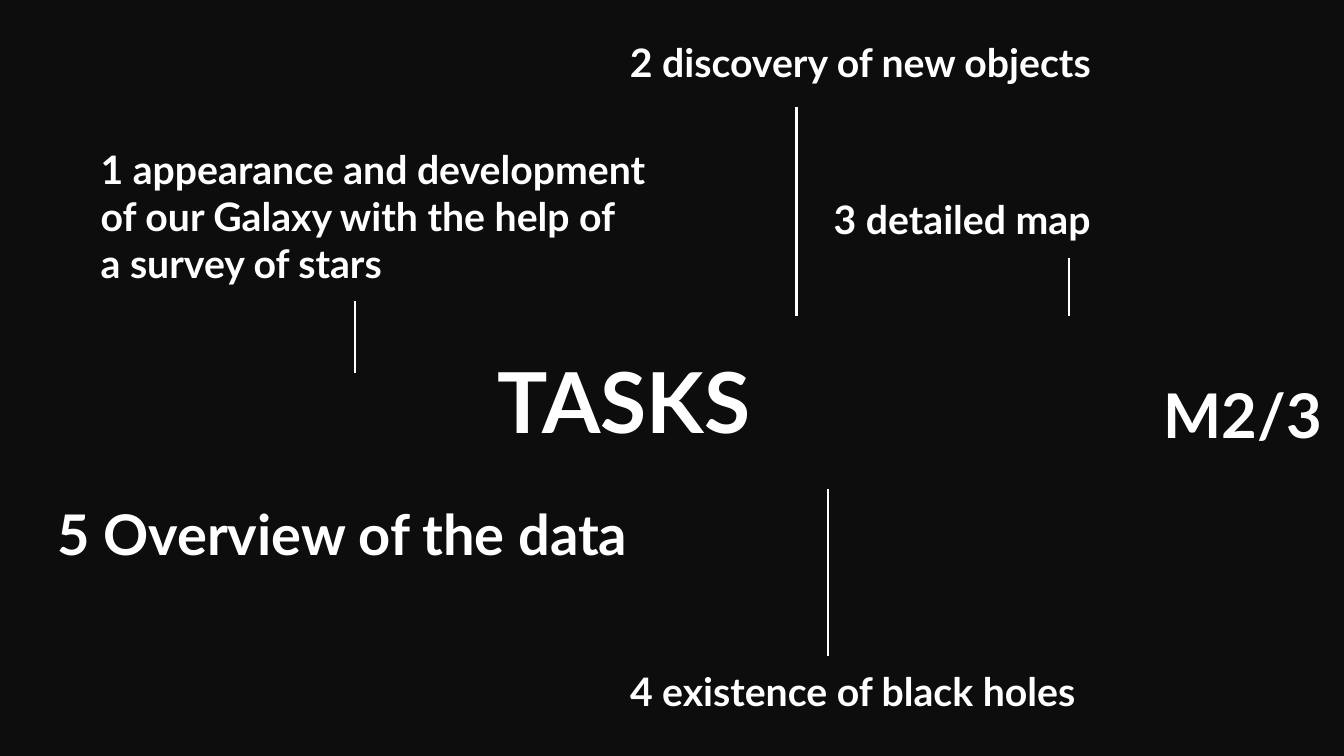
from lxml import etree
from pptx import Presentation
from pptx.dml.color import RGBColor
from pptx.enum.shapes import MSO_CONNECTOR
from pptx.enum.text import MSO_ANCHOR, MSO_AUTO_SIZE, PP_ALIGN
from pptx.oxml.ns import qn
from pptx.util import Inches, Pt

COLORS = {"background": "0D0D0D", "text": "FFFFFF", "line": "FFFFFF"}
FONT = "Lato"
TITLE_ONLY = 5

# lines of text, box (left, top, width, height), size
LABELS = [
    (["1 appearance and development", "of our Galaxy with the help of",
      "a survey of stars"], (0.9, 1.39, 7.01, 1.51), 28),
    (["2 discovery of new objects"], (6.15, 0.33, 6.1, 0.57), 28),
    (["3 detailed map"], (8.17, 1.89, 3.35, 0.57), 28),
    (["4 existence of black holes"], (6.15, 6.57, 6.29, 0.57), 28),
    (["5 Overview of the data"], (0.47, 4.91, 7.22, 0.77), 40),
    (["M2/3"], (11.44, 3.69, 1.9, 0.84), 44),
]

# x, top, bottom
STEMS = [(3.52, 2.99, 3.7), (7.9, 1.06, 3.14), (10.6, 2.56, 3.14), (8.21, 4.85, 6.51)]


def color(name):
    return RGBColor.from_string(COLORS[name])


def write(tf, lines, size, align=PP_ALIGN.LEFT, anchor=MSO_ANCHOR.TOP, spacing=None):
    """Fill a text frame with one bold paragraph per line."""
    tf.word_wrap = True
    tf.auto_size = MSO_AUTO_SIZE.NONE
    tf.vertical_anchor = anchor
    for i, line in enumerate(lines):
        p = tf.add_paragraph() if i else tf.paragraphs[0]
        p.alignment = align
        p.line_spacing = spacing
        r = p.add_run()
        r.text = line
        r.font.name = FONT
        r.font.size = Pt(size)
        r.font.bold = True
        r.font.color.rgb = color("text")


def place_title(slide, text, box):
    sp = slide.shapes.title
    sp.left, sp.top, sp.width, sp.height = map(Inches, box)
    write(sp.text_frame, [text], 60, align=PP_ALIGN.CENTER,
          anchor=MSO_ANCHOR.BOTTOM, spacing=0.9)


def add_label(slide, lines, box, size):
    sp = slide.shapes.add_textbox(*map(Inches, box))
    write(sp.text_frame, lines, size)


def add_stem(slide, x, top, bottom):
    """Draw a vertical line between a label and the title."""
    line = slide.shapes.add_connector(
        MSO_CONNECTOR.STRAIGHT, Inches(x), Inches(top), Inches(x), Inches(bottom))
    line.line.color.rgb = color("line")
    line.line.width = Pt(1.5)
    etree.SubElement(line._element.spPr, qn("a:effectLst"))


def build_tasks_slide(prs):
    slide = prs.slides.add_slide(prs.slide_layouts[TITLE_ONLY])
    fill = slide.background.fill
    fill.solid()
    fill.fore_color.rgb = color("background")
    place_title(slide, "TASKS", (-2.04, 1.92, 16.46, 2.61))
    for lines, box, size in LABELS:
        add_label(slide, lines, box, size)
    for stem in STEMS:
        add_stem(slide, *stem)


def main():
    prs = Presentation()
    prs.slide_width, prs.slide_height = Inches(13.33), Inches(7.5)
    build_tasks_slide(prs)
    prs.save("out.pptx")


if __name__ == "__main__":
    main()
